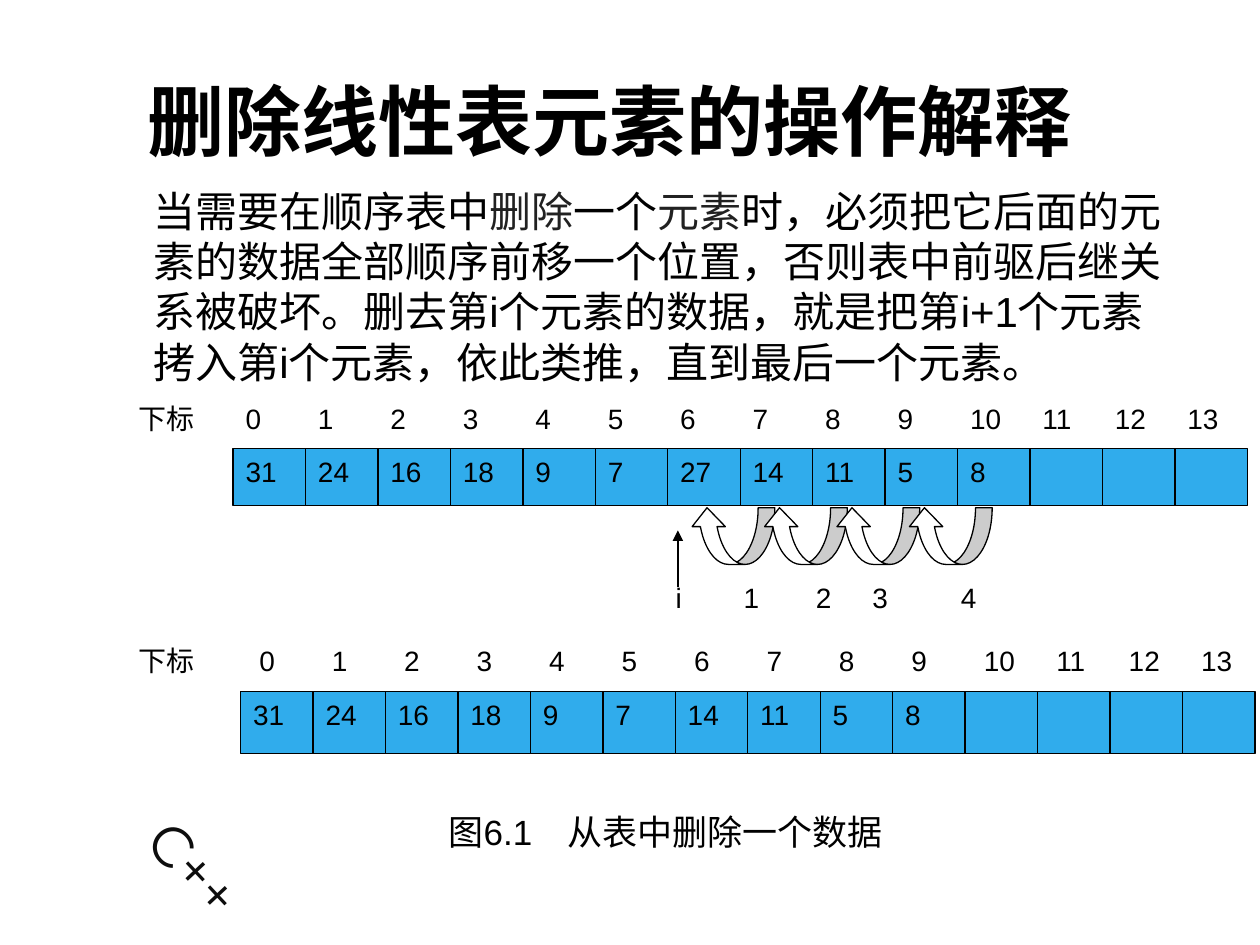
from lxml import etree
from pptx import Presentation
from pptx.dml.color import RGBColor
from pptx.enum.shapes import MSO_CONNECTOR, MSO_SHAPE
from pptx.enum.text import MSO_ANCHOR, PP_ALIGN
from pptx.oxml.ns import qn
from pptx.util import Inches, Pt

RECTANGLE = MSO_SHAPE.RECTANGLE
CURVED_ARROW = MSO_SHAPE.CURVED_DOWN_ARROW
STRAIGHT = MSO_CONNECTOR.STRAIGHT
TOP, MIDDLE = MSO_ANCHOR.TOP, MSO_ANCHOR.MIDDLE
LEFT, CENTER, JUSTIFY = PP_ALIGN.LEFT, PP_ALIGN.CENTER, PP_ALIGN.JUSTIFY

BLACK = RGBColor(0x00, 0x00, 0x00)
NEAR_BLACK = RGBColor(0x0D, 0x0D, 0x0D)
DARK_GRAY = RGBColor(0x21, 0x21, 0x21)
WHITE = RGBColor(0xFF, 0xFF, 0xFF)
BLUE = RGBColor(0x30, 0xAC, 0xEC)

PITCH = 0.575
CELL_COUNT = 14
BEFORE = ["31", "24", "16", "18", "9", "7", "27", "14", "11", "5", "8"]
AFTER = ["31", "24", "16", "18", "9", "7", "14", "11", "5", "8"]
EXPLANATION = [
    ("当需要在顺序表中", BLACK),
    ("删除", DARK_GRAY),
    ("一个", BLACK),
    ("元素", DARK_GRAY),
    ("时，必须把它后面的元素的数据全部顺序前移一个位置，否则表中前驱后继关系被破坏。"
     "删去第i个元素的数据，就是把第i+1个元素拷入第i个元素，依此类推，直到最后一个元素。", BLACK),
]


def set_attributes(target, values):
    """Set each named attribute of the target."""
    for name, value in values.items():
        setattr(target, name, value)


def write_runs(shape, runs, size, align=LEFT, anchor=TOP, font_name="Arial", bold=False):
    """Write one paragraph of (text, colour) runs into a shape."""
    set_attributes(shape.text_frame, {"word_wrap": True, "vertical_anchor": anchor})
    paragraph = shape.text_frame.paragraphs[0]
    paragraph.alignment = align
    for text, color in runs:
        run = paragraph.add_run()
        run.text = text
        set_attributes(run.font, {"name": font_name, "size": Pt(size), "bold": bold})
        run.font.color.rgb = color


def add_label(slide, box, text, size=16, align=JUSTIFY):
    """Add a black text box in the given box."""
    label = slide.shapes.add_textbox(*map(Inches, box))
    write_runs(label, [(text, BLACK)], size, align)


def add_outlined_shape(slide, kind, box, fill):
    """Add a flat shape with a thin black outline."""
    shape = slide.shapes.add_shape(kind, *map(Inches, box))
    shape.shadow.inherit = False
    shape.fill.solid()
    shape.fill.fore_color.rgb = fill
    shape.line.color.rgb = BLACK
    shape.line.width = Pt(0.75)
    return shape


def add_title(slide, box):
    """Place and format the title placeholder."""
    title = slide.shapes.title
    names = ("left", "top", "width", "height")
    set_attributes(title, dict(zip(names, map(Inches, box))))
    write_runs(title, [("删除线性表元素的操作解释", BLACK)], 44, anchor=MIDDLE, bold=True)


def add_explanation(slide, box):
    """Add the paragraph that explains the deletion."""
    explanation = slide.shapes.add_textbox(*map(Inches, box))
    write_runs(explanation, EXPLANATION, 24)


def add_index_row(slide, box):
    """Add the numbers of the cells, with a heading at the left margin."""
    left, top, width, height = box
    add_label(slide, (1, top, 0.96, height), "下标")
    for index in range(CELL_COUNT):
        add_label(slide, (left + index * PITCH, top, width, height), str(index))


def add_cell_row(slide, box, values):
    """Add a row of cells whose first one fills the box."""
    left, top, width, height = box
    for index in range(CELL_COUNT):
        cell = add_outlined_shape(slide, RECTANGLE, (left + index * PITCH, top, width, height), BLUE)
        if index < len(values):
            write_runs(cell, [(values[index], BLACK)], 16, JUSTIFY)


def add_moves(slide, box):
    """Add the curved arrows that shift each value to the left."""
    left, top, width, height = box
    for index in range(4):
        arrow = add_outlined_shape(slide, CURVED_ARROW, (left + index * PITCH, top, width, height), WHITE)
        for position, value in enumerate((0.294, 0.587, 0.333)):
            arrow.adjustments[position] = value
        transform = arrow.element.spPr.find(qn("a:xfrm"))
        for flip in ("flipH", "flipV"):
            transform.set(flip, "1")


def add_step_labels(slide, box):
    """Add the pointer name and the numbers of the moves."""
    left, top, width, height = box
    for index, text in enumerate(("i", "1", "2", "3", "4")):
        align = JUSTIFY if text == "3" else CENTER
        add_label(slide, (left + index * PITCH, top, width, height), text, align=align)


def add_pointer(slide, box):
    """Add the upward arrow that marks the deleted element."""
    left, top, width, height = box
    ends = (left, top + height, left + width, top)
    pointer = slide.shapes.add_connector(STRAIGHT, *map(Inches, ends))
    pointer.line.color.rgb = BLACK
    pointer.line.width = Pt(0.75)
    properties = pointer.element.spPr
    etree.SubElement(properties.find(qn("a:ln")), qn("a:tailEnd"), type="triangle")
    etree.SubElement(properties, qn("a:effectLst"))


def add_course_mark(slide, box):
    """Add the slanted name of the language."""
    mark = slide.shapes.add_textbox(*map(Inches, box))
    mark.rotation = 46.9
    write_runs(mark, [("C++", NEAR_BLACK)], 32, font_name="Montserrat")


def main():
    """Build and save the slide."""
    presentation = Presentation()
    presentation.slide_width = Inches(10)
    presentation.slide_height = Inches(7.5)
    slide = presentation.slides.add_slide(presentation.slide_layouts[5])
    add_course_mark(slide, (0.94, 6.78, 1.61, 0.64))
    add_title(slide, (1.07, 0.29, 8.43, 1.32))
    add_index_row(slide, (1.85, 3.14, PITCH, 0.41))
    add_cell_row(slide, (1.85, 3.56, PITCH, 0.45), BEFORE)
    add_moves(slide, (5.48, 4.03, 0.67, 0.45))
    add_step_labels(slide, (5.1, 4.56, PITCH, 0.4))
    add_pointer(slide, (5.38, 4.21, 0, 0.45))
    add_index_row(slide, (1.96, 5.06, PITCH, 0.4))
    add_cell_row(slide, (1.91, 5.49, PITCH, 0.49), AFTER)
    add_label(slide, (3.12, 6.38, 4.33, 0.45), "图6.1　从表中删除一个数据", 20, CENTER)
    add_explanation(slide, (1.12, 1.42, 8.24, 1.72))
    presentation.save("out.pptx")


if __name__ == "__main__":
    main()
